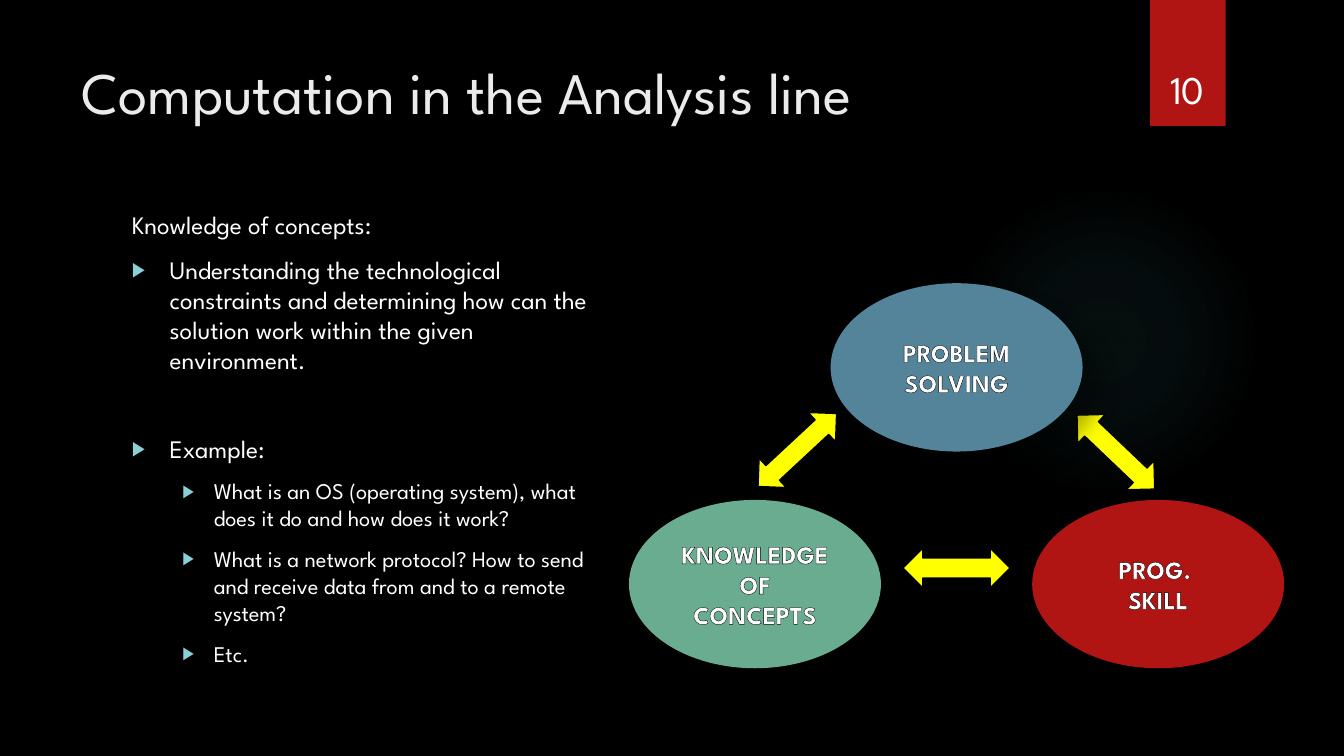
from pptx import Presentation
from pptx import util as u
from pptx.dml.color import RGBColor
from pptx.enum import shapes, text
from pptx.oxml import parse_xml
from pptx.oxml.ns import nsdecls, qn

FONT = "League Spartan"
COLORS = {
    "black": "000000",
    "white": "FFFFFF",
    "title": "EBEBEB",
    "red": "B01513",
    "blue": "54849A",
    "green": "6AAC90",
    "yellow": "FFFF00",
    "bullet": "8AD0D6",
    "glow": "50B9C1",
}
OVAL = shapes.MSO_SHAPE.OVAL
ARROW_SIZE = (76.3, 28.1)
NODE_SIZE = (180, 120.24)


def rgb(name):
    return RGBColor.from_string(COLORS[name])


def xml(tag, attrs="", inner=""):
    return parse_xml(f"<a:{tag} {nsdecls('a')} {attrs}>{inner}</a:{tag}>")


def add_run(p, words, size, color="white", bold=False):
    r = p.add_run()
    r.text = words
    r.font.name = FONT
    r.font.size = u.Pt(size)
    r.font.bold = bold
    r.font.color.rgb = rgb(color)
    return r


def place(sp, left, top, width, height):
    sp.left, sp.top, sp.width, sp.height = map(u.Pt, (left, top, width, height))


def set_frame(sp, anchor):
    tf = sp.text_frame
    tf.word_wrap = True
    tf.auto_size = text.MSO_AUTO_SIZE.NONE
    tf.vertical_anchor = anchor
    return tf


def add_shape(slide, kind, box, fill=None):
    sp = slide.shapes.add_shape(kind, *map(u.Pt, box))
    sp.shadow.inherit = False
    sp.line.fill.background()
    if fill:
        sp.fill.solid()
        sp.fill.fore_color.rgb = rgb(fill)
    return sp


def add_shadow(sp, alpha, blur, dist, angle):
    color = f'<a:srgbClr val="{COLORS["black"]}"><a:alpha val="{alpha * 1000}"/></a:srgbClr>'
    attrs = f'blurRad="{u.Pt(blur)}" dist="{u.Pt(dist)}" dir="{angle * 60000}" rotWithShape="0"'
    sp._element.spPr.find(qn("a:effectLst")).append(xml("outerShdw", attrs, color))


def add_glow(slide):
    sp = add_shape(slide, OVAL, (677.5, 131.8, 221.8, 221.8))
    stops = "".join(
        f'<a:gs pos="{pos * 1000}"><a:srgbClr val="{COLORS["glow"]}">'
        f'<a:alpha val="{alpha * 1000}"/></a:srgbClr></a:gs>'
        for pos, alpha in ((0, 7), (36, 6), (69, 0))
    )
    center = '<a:fillToRect l="50000" t="50000" r="50000" b="50000"/>'
    grad = f'<a:gsLst>{stops}</a:gsLst><a:path path="circle">{center}</a:path>'
    sp._element.spPr.find(qn("a:prstGeom")).addnext(xml("gradFill", "", grad))


def add_page_number(slide, number):
    ribbon = add_shape(slide, shapes.MSO_SHAPE.RECTANGLE, (821.5, 0, 54, 90), "red")
    add_shadow(ribbon, 45, 3, 2, 90)
    sp = slide.shapes.add_textbox(*map(u.Pt, (815, 23, 66.2, 60.5)))
    p = set_frame(sp, text.MSO_ANCHOR.BOTTOM).paragraphs[0]
    p.alignment = text.PP_ALIGN.CENTER
    add_run(p, number, 28)


def add_node(slide, left, top, fill, lines):
    sp = add_shape(slide, OVAL, (left, top, *NODE_SIZE), fill)
    add_shadow(sp, 30, 15, 18, 45)
    tf = set_frame(sp, text.MSO_ANCHOR.MIDDLE)
    for i, line in enumerate(lines):
        p = tf.add_paragraph() if i else tf.paragraphs[0]
        p.alignment = text.PP_ALIGN.CENTER
        r = add_run(p, line, 18, bold=True)
        outline = f'<a:solidFill><a:srgbClr val="{COLORS["black"]}"/></a:solidFill>'
        r.font._element.insert(0, xml("ln", f'w="{u.Pt(0.75)}"', outline))


def add_arrow(slide, left, top, angle=0):
    kind = shapes.MSO_SHAPE.LEFT_RIGHT_ARROW
    sp = add_shape(slide, kind, (left, top, *ARROW_SIZE), "yellow")
    sp.rotation = angle
    sp.line.color.rgb = rgb("black")
    sp.line.width = u.Pt(0.75)


def set_bullet(p, margin, hang):
    pPr = p._p.get_or_add_pPr()
    pPr.set("marL", str(u.Pt(margin)))
    pPr.set("indent", str(u.Pt(-hang)))
    if not hang:
        pPr.append(xml("buNone"))
        return
    pPr.append(xml("buClr", "", f'<a:srgbClr val="{COLORS["bullet"]}"/>'))
    pPr.append(xml("buSzPct", 'val="80000"'))
    pPr.append(xml("buFont", 'typeface="Arial"'))
    pPr.append(xml("buChar", 'char="▶"'))


def fill_title(sp, words):
    place(sp, 51, 36, 741, 110)
    p = set_frame(sp, text.MSO_ANCHOR.TOP).paragraphs[0]
    p.alignment = text.PP_ALIGN.LEFT
    add_run(p, words, 42, "title")


def fill_body(sp, items):
    place(sp, 87, 146.2, 346.3, 347)
    tf = set_frame(sp, text.MSO_ANCHOR.TOP)
    styles = {"lead": (0, 0, 0, 18), "item": (0, 27, 27, 18), "sub": (1, 58.5, 22.5, 16)}
    for i, (style, before, words) in enumerate(items):
        level, margin, hang, size = styles[style]
        p = tf.add_paragraph() if i else tf.paragraphs[0]
        p.level = level
        set_bullet(p, margin, hang)
        p.space_before = u.Pt(before)
        add_run(p, words, size)


def main():
    prs = Presentation()
    prs.slide_width, prs.slide_height = u.Pt(960), u.Pt(540)
    slide = prs.slides.add_slide(prs.slide_layouts[1])
    slide.background.fill.solid()
    slide.background.fill.fore_color.rgb = rgb("black")

    add_glow(slide)
    add_page_number(slide, "10")
    fill_title(slide.shapes.title, "Computation in the Analysis line")
    fill_body(slide.placeholders[1], [
        ("lead", 0, "Knowledge of concepts:"),
        ("item", 10, "Understanding the technological constraints and determining "
                     "how can the solution work within the given environment."),
        ("item", 41.6, "Example:"),
        ("sub", 10, "What is an OS (operating system), what does it do and how does it work?"),
        ("sub", 10, "What is a network protocol? How to send and receive data "
                    "from and to a remote system?"),
        ("sub", 10, "Etc."),
    ])

    add_node(slide, 737.3, 357.1, "red", ["PROG. ", "SKILL"])
    add_arrow(slide, 758.9, 308.9, 43.6)
    add_arrow(slide, 531.4, 307.4, 317.1)
    add_arrow(slide, 645.1, 391.7)
    add_node(slide, 593.3, 202.3, "blue", ["PROBLEM SOLVING"])
    add_node(slide, 449.3, 357.1, "green", ["KNOWLEDGE OF CONCEPTS"])
    prs.save("out.pptx")


if __name__ == "__main__":
    main()
